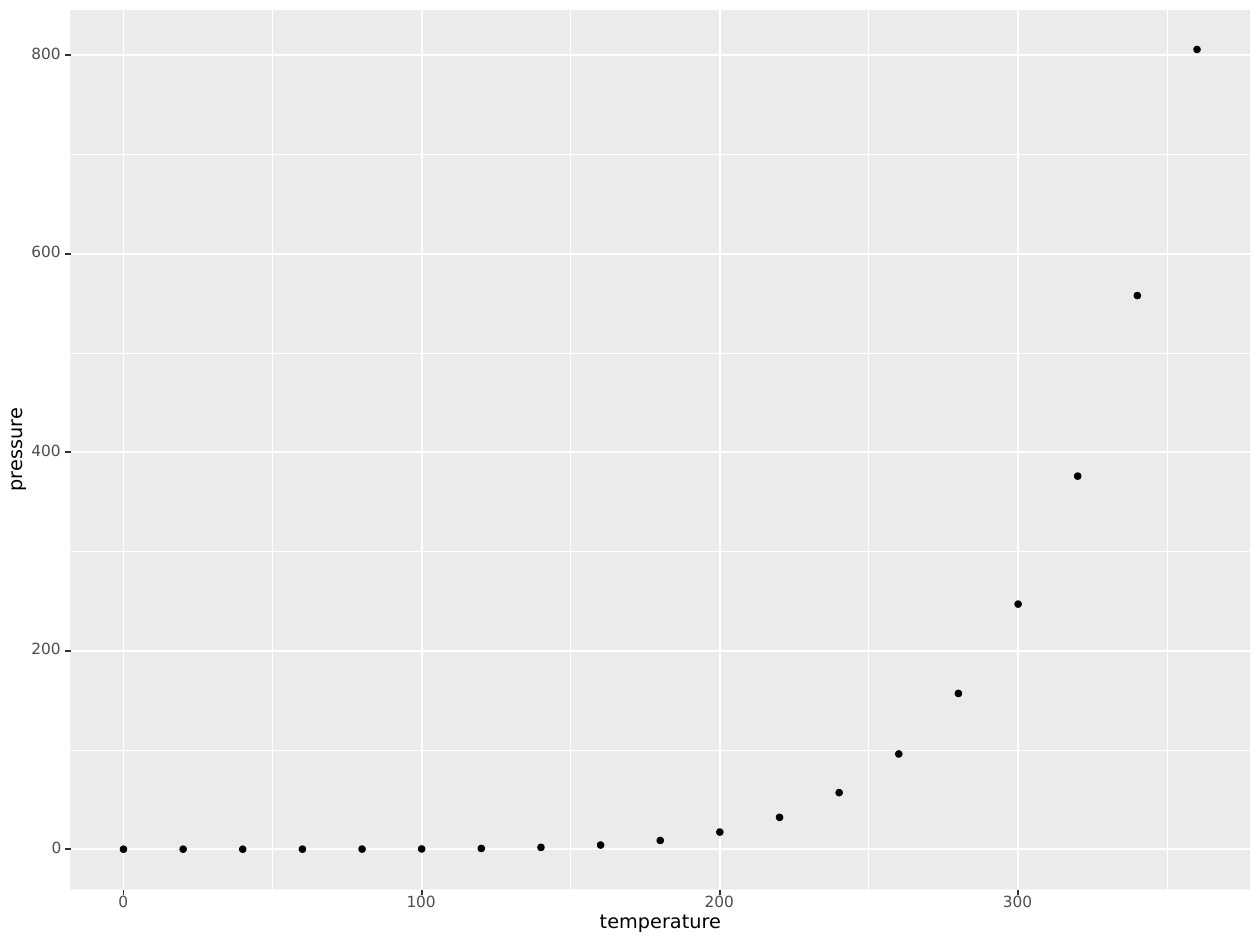
from lxml import etree
from pptx import Presentation
from pptx import util as u
from pptx.dml.color import RGBColor
from pptx.enum import shapes, text
from pptx.oxml import ns

COLORS = {"paper": "FFFFFF", "panel": "EBEBEB", "grid": "FFFFFF", "point": "000000",
          "tick": "333333", "tick_label": "4D4D4D", "title": "000000"}
FONT = "DejaVu Sans"

# Panel edges, tick length and scales, in inches
LEFT, TOP, RIGHT, BOTTOM = 0.56, 0.08, 9.92, 7.06
TICK = 0.04
X_ZERO, X_300 = 0.98, 8.08
Y_ZERO, Y_800 = 6.74, 0.44
POINT_SIZE = 0.05
LABEL_HEIGHT = 0.09

TEMPERATURES = range(0, 361, 20)
PRESSURES = [0, 0, 0.01, 0.03, 0.09, 0.27, 0.75, 1.85, 4.2, 8.8,
             17.3, 32.1, 57, 96, 157, 247, 376, 558, 806]
X_BREAKS, X_MINOR = range(0, 301, 100), range(50, 351, 100)
Y_BREAKS, Y_MINOR = range(0, 801, 200), range(100, 701, 200)


def color(name):
    return RGBColor.from_string(COLORS[name])


def x_at(temperature):
    return X_ZERO + temperature * (X_300 - X_ZERO) / 300


def y_at(pressure):
    return Y_ZERO + pressure * (Y_800 - Y_ZERO) / 800


def add_filled(plot, kind, box, fill, line_width=None):
    shape = plot.add_shape(kind, *map(u.Inches, box))
    shape.shadow.inherit = False
    shape.fill.solid()
    shape.fill.fore_color.rgb = color(fill)
    if line_width:
        shape.line.color.rgb = color(fill)
        shape.line.width = u.Pt(line_width)
    else:
        shape.line.fill.background()


def add_line(plot, ends, line_color, width):
    line = plot.add_connector(shapes.MSO_CONNECTOR.STRAIGHT, *map(u.Inches, ends))
    line.line.color.rgb = color(line_color)
    line.line.width = u.Pt(width)
    etree.SubElement(line._element.spPr, ns.qn("a:effectLst"))


def add_label(plot, wording, box, size, font_color, rotation=0):
    shape = plot.add_textbox(*map(u.Inches, box))
    shape.rotation = rotation
    frame = shape.text_frame
    frame.margin_left = frame.margin_right = frame.margin_top = frame.margin_bottom = 0
    frame.word_wrap = False
    frame.vertical_anchor = text.MSO_ANCHOR.MIDDLE
    frame.text = wording
    paragraph = frame.paragraphs[0]
    paragraph.line_spacing = u.Pt(size)
    font = paragraph.runs[0].font
    font.name, font.size = FONT, u.Pt(size)
    font.color.rgb = color(font_color)


def label_width(value):
    return 0.24 if value >= 100 else 0.08


def add_grid(plot, x_values, y_values, width):
    for value in y_values:
        add_line(plot, (LEFT, y_at(value), RIGHT, y_at(value)), "grid", width)
    for value in x_values:
        add_line(plot, (x_at(value), BOTTOM, x_at(value), TOP), "grid", width)


def add_points(plot):
    for temperature, pressure in zip(TEMPERATURES, PRESSURES):
        box = (x_at(temperature) - POINT_SIZE / 2, y_at(pressure) - POINT_SIZE / 2,
               POINT_SIZE, POINT_SIZE)
        add_filled(plot, shapes.MSO_SHAPE.OVAL, box, "point", 0.71)


def add_y_axis(plot):
    for value in Y_BREAKS:
        y, width = y_at(value), label_width(value)
        add_line(plot, (LEFT - TICK, y, LEFT, y), "tick", 1.07)
        add_label(plot, str(value), (0.49 - width, y - 0.05, width, LABEL_HEIGHT),
                  8.8, "tick_label")


def add_x_axis(plot):
    for value in X_BREAKS:
        x, width = x_at(value), label_width(value)
        add_line(plot, (x, BOTTOM + TICK, x, BOTTOM), "tick", 1.07)
        add_label(plot, str(value), (x - width / 2, 7.12, width, LABEL_HEIGHT),
                  8.8, "tick_label")


def main():
    presentation = Presentation()
    presentation.slide_width, presentation.slide_height = u.Inches(10), u.Inches(7.5)
    slide = presentation.slides.add_slide(presentation.slide_layouts[6])
    plot = slide.shapes.add_group_shape().shapes

    # Background and panel
    rectangle = shapes.MSO_SHAPE.RECTANGLE
    add_filled(plot, rectangle, (0, 0, 10, 7.5), "paper", 1.07)
    add_filled(plot, rectangle, (LEFT, TOP, RIGHT - LEFT, BOTTOM - TOP), "panel")

    # Minor and major grid, then the data
    add_grid(plot, X_MINOR, Y_MINOR, 0.53)
    add_grid(plot, X_BREAKS, Y_BREAKS, 1.07)
    add_points(plot)

    # Axes and their titles
    add_y_axis(plot)
    add_x_axis(plot)
    add_label(plot, "temperature", (4.76, 7.25, 0.98, 0.14), 11, "title")
    add_label(plot, "pressure", (-0.21, 3.5, 0.68, 0.12), 11, "title", rotation=270)

    presentation.save("out.pptx")


if __name__ == "__main__":
    main()
